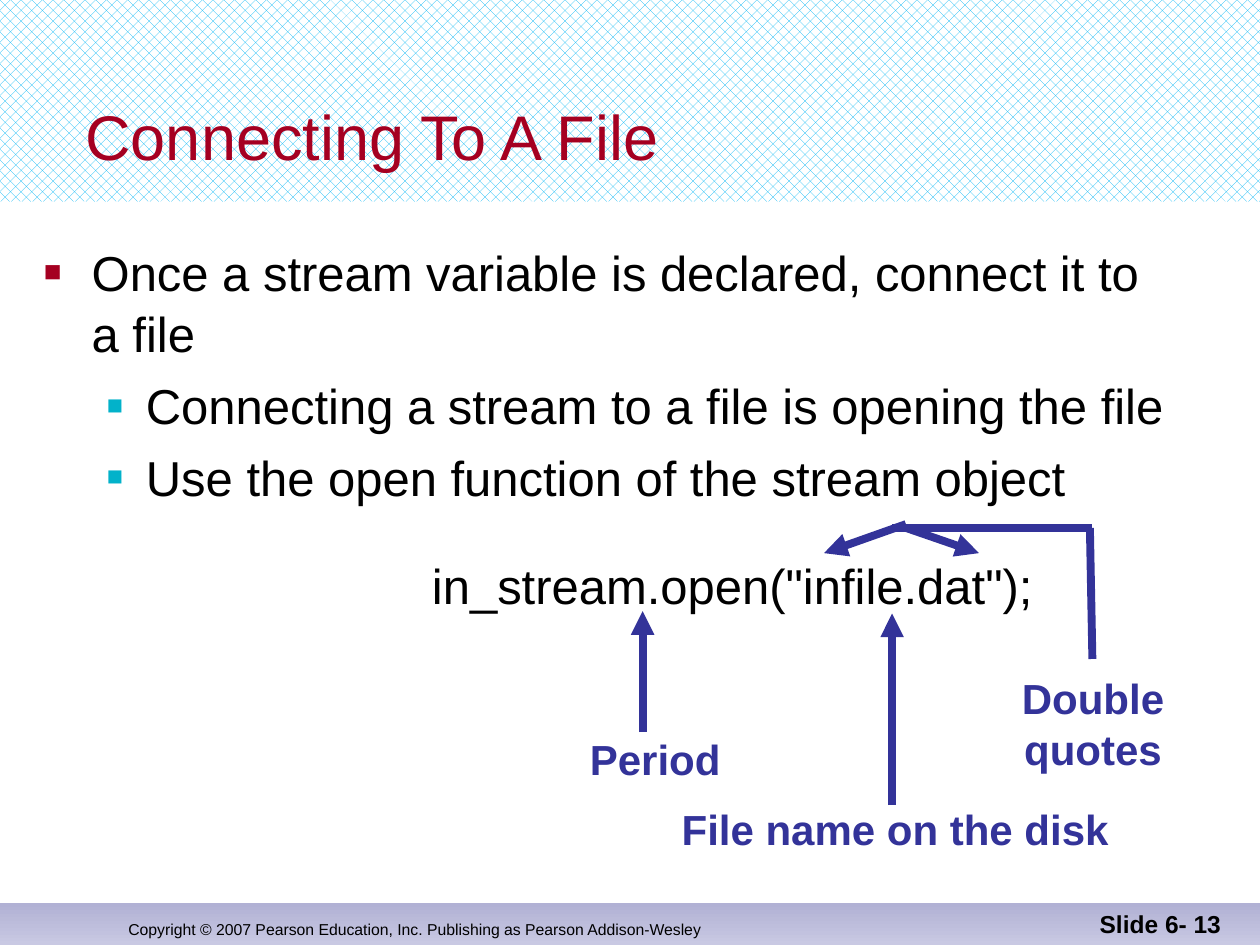
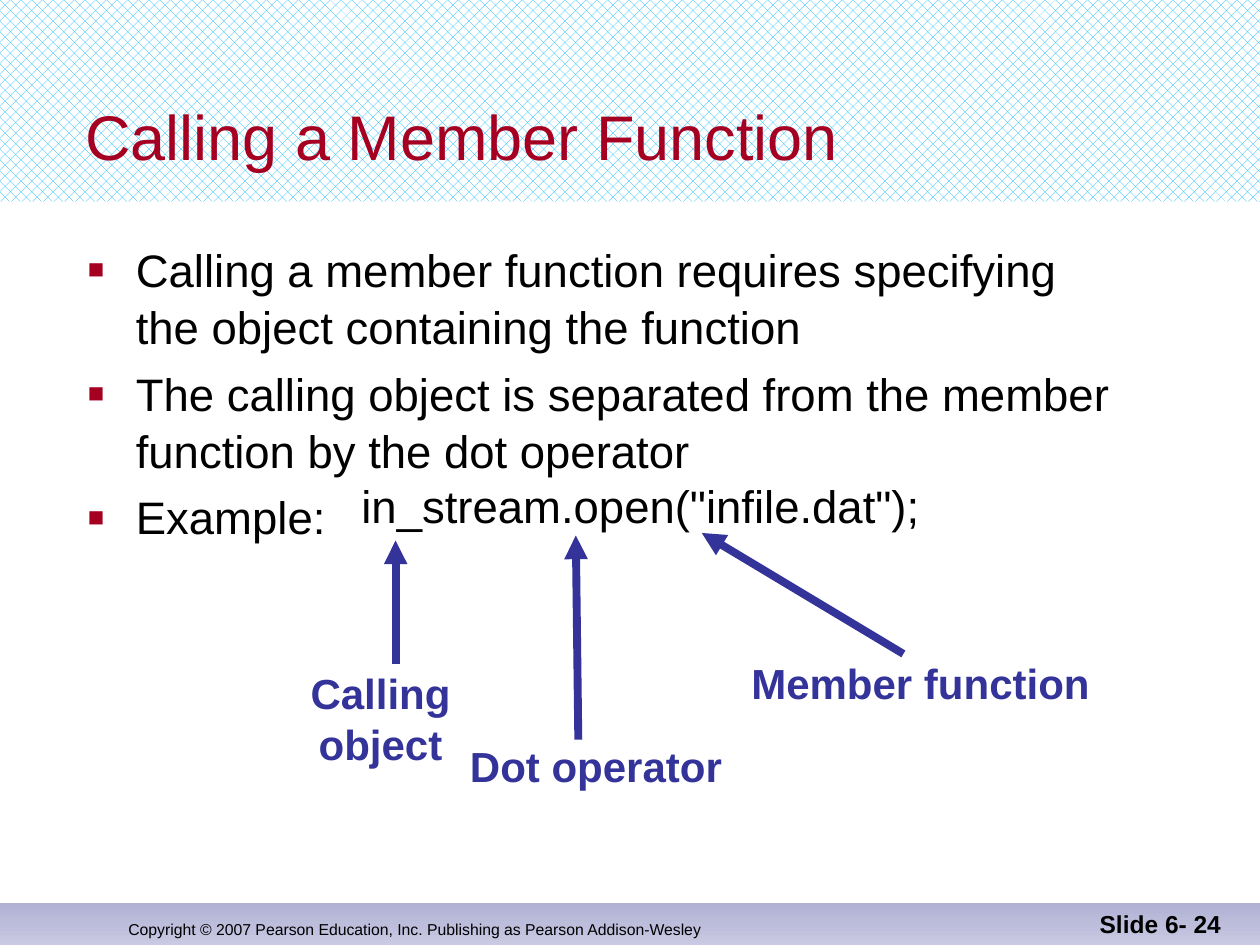
import lxml.etree
import pptx
import pptx.dml.color
import pptx.enum.dml
import pptx.enum.shapes
import pptx.enum.text
import pptx.oxml.ns
import pptx.util

Inches = pptx.util.Inches
Pt = pptx.util.Pt
qn = pptx.oxml.ns.qn
ALIGN = pptx.enum.text.PP_ALIGN
ANCHOR = pptx.enum.text.MSO_ANCHOR

COLORS = {
    "title": "A50021",
    "sub_bullet": "02B2CA",
    "text": "000000",
    "callout": "333399",
    "hatch": "00B6F6",
    "paper": "FFFFFF",
    "footer_top": "B1B1D4",
    "footer_bottom": "C9C9E3",
}
FONT = "Arial"
STYLES = {
    "title": {"size": Pt(36), "bold": False, "color": "title"},
    "copyright": {"size": Pt(9), "bold": False, "color": "text"},
    "number": {"size": Pt(14), "bold": True, "color": "text"},
    "callout": {"size": Pt(24), "bold": True, "color": "callout"},
    "body_28": {"size": Pt(28), "bold": False, "color": "text"},
    "body_26": {"size": Pt(26), "bold": False, "color": "text"},
}
LEVELS = [
    {"margin": 0.38, "hang": 0.38, "color": "title", "percent": 60},
    {"margin": 0.81, "hang": 0.31, "color": "sub_bullet", "percent": 55},
]
LINE_SPACING = 1.05
HEADER_BOX = (0, 0, 10, 1.6)
FOOTER_BOX = (0, 7.17, 10, 0.33)
TITLE_BOX = (0.58, 0.33, 9.08, 1.09)
COPYRIGHT = "Copyright © 2007 Pearson Education, Inc. Publishing as Pearson Addison-Wesley"
CODE = 'in_stream.open("infile.dat");'

SLIDES = [
    {
        "title": "Connecting To A File",
        "number": "Slide 6- 13",
        "style": "body_28",
        "body_box": (0.25, 1.85, 9.07, 2.4),
        "bullets": [
            (0, "Once a stream variable is declared, connect it to\va file"),
            (1, "Connecting a stream to a file is opening the file"),
            (1, "Use the open function of the stream object"),
        ],
        "code_offset": (3.08, 2.49),
        "callouts": [
            ("Period", (4.58, 5.77, 1.24, 0.5), [((5.1, 5.81), (5.1, 4.85), True)]),
            ("File name on the disk", (5.31, 6.33, 3.59, 0.5),
             [((7.08, 6.39), (7.08, 4.87), True)]),
            ("Double quotes", (7.42, 5.29, 2.51, 0.5), [
                ((8.67, 5.23), (8.65, 4.19), False),
                ((8.67, 4.19), (7.08, 4.19), False),
                ((7.19, 4.16), (6.54, 4.39), True),
                ((7.19, 4.19), (7.77, 4.39), True),
            ]),
        ],
    },
    {
        "title": "Calling a Member Function",
        "number": "Slide 6- 24",
        "style": "body_26",
        "body_box": (0.6, 1.85, 9.07, 2.4),
        "bullets": [
            (0, "Calling a member function requires specifying\vthe object containing the function"),
            (0, "The calling object is separated from the member\vfunction by the dot operator"),
            (0, "Example:"),
        ],
        "code_offset": (2.17, 1.87),
        "callouts": [
            ("Calling object", (1.83, 5.25, 2.38, 0.5), [((3.14, 5.27), (3.14, 4.29), True)]),
            ("Dot operator", (3.63, 5.83, 2.2, 0.5), [((4.59, 5.87), (4.57, 4.25), True)]),
            ("Member function", (5.86, 5.17, 2.89, 0.5), [((7.17, 5.19), (5.57, 4.23), True)]),
        ],
    },
]


def rgb(name):
    return pptx.dml.color.RGBColor.from_string(COLORS[name])


def lengths(values):
    return [Inches(value) for value in values]


def write(paragraph, text, style):
    paragraph.text = text
    for run in paragraph.runs:
        run.font.name = FONT
        for name, value in STYLES[style].items():
            if name == "color":
                run.font.color.rgb = rgb(value)
            else:
                setattr(run.font, name, value)


def add_text(slide, box, text, style, align=ALIGN.LEFT, anchor=ANCHOR.TOP, wrap=True):
    text_box = slide.shapes.add_textbox(*lengths(box))
    frame = text_box.text_frame
    frame.word_wrap = wrap
    frame.vertical_anchor = anchor
    paragraph = frame.paragraphs[0]
    paragraph.alignment = align
    write(paragraph, text, style)
    return text_box


def add_band(slide, box):
    band = slide.shapes.add_shape(pptx.enum.shapes.MSO_SHAPE.RECTANGLE, *lengths(box))
    band.shadow.inherit = False
    band.line.fill.background()
    return band


def add_header(slide, box, title):
    fill = add_band(slide, box).fill
    fill.patterned()
    fill.pattern = pptx.enum.dml.MSO_PATTERN.from_xml("pct40")
    fill.fore_color.rgb = rgb("hatch")
    fill.back_color.rgb = rgb("paper")
    add_text(slide, TITLE_BOX, title, "title", anchor=ANCHOR.BOTTOM)


def add_footer(slide, box, number):
    left, top, width, height = box
    fill = add_band(slide, box).fill
    fill.gradient()
    fill.gradient_angle = 270
    for stop, color in zip(fill.gradient_stops, ("footer_top", "footer_bottom")):
        stop.color.rgb = rgb(color)
    text_top = top + height - 0.5
    add_text(slide, (left + 0.92, text_top, 4.92, 0.5), COPYRIGHT, "copyright",
             anchor=ANCHOR.BOTTOM)
    add_text(slide, (left + width - 2.29, text_top, 2.08, 0.5), number, "number",
             ALIGN.RIGHT, ANCHOR.BOTTOM)


def add_bullet(paragraph, level):
    properties = paragraph._p.get_or_add_pPr()
    properties.set("marL", str(Inches(level["margin"])))
    properties.set("indent", str(-Inches(level["hang"])))
    color = lxml.etree.SubElement(properties, qn("a:buClr"))
    lxml.etree.SubElement(color, qn("a:srgbClr"), val=COLORS[level["color"]])
    lxml.etree.SubElement(properties, qn("a:buSzPct"), val=str(level["percent"] * 1000))
    lxml.etree.SubElement(properties, qn("a:buFont"), typeface=FONT)
    lxml.etree.SubElement(properties, qn("a:buChar"), char="■")


def add_body(slide, box, bullets, style, code_offset):
    left, top, width, height = box
    frame = slide.shapes.add_textbox(*lengths(box)).text_frame
    frame.word_wrap = True
    frame.margin_right = 0
    for index, (level, text) in enumerate(bullets):
        paragraph = frame.add_paragraph() if index else frame.paragraphs[0]
        paragraph.level = level
        paragraph.line_spacing = LINE_SPACING
        if index:
            paragraph.space_before = Pt(STYLES[style]["size"].pt * 0.2)
        add_bullet(paragraph, LEVELS[level])
        write(paragraph, text, style)
    across, down = code_offset
    code = add_text(slide, (left + across, top + down, 5.2, 0.55), CODE, style)
    code.text_frame.paragraphs[0].line_spacing = LINE_SPACING


def add_line(slide, start, end, arrow):
    line = slide.shapes.add_connector(
        pptx.enum.shapes.MSO_CONNECTOR.STRAIGHT, *lengths(start + end))
    line.line.width = Pt(4.5)
    line.line.color.rgb = rgb("callout")
    if arrow:
        lxml.etree.SubElement(line.line._get_or_add_ln(), qn("a:tailEnd"), type="triangle")
    lxml.etree.SubElement(line._element.spPr, qn("a:effectLst"))


def add_callout(slide, text, box, lines):
    add_text(slide, box, text, "callout", ALIGN.CENTER, wrap=False)
    for start, end, arrow in lines:
        add_line(slide, start, end, arrow)


def add_code_slide(presentation, content):
    slide = presentation.slides.add_slide(presentation.slide_layouts[6])
    add_footer(slide, FOOTER_BOX, content["number"])
    add_header(slide, HEADER_BOX, content["title"])
    add_body(slide, content["body_box"], content["bullets"], content["style"],
             content["code_offset"])
    for callout in content["callouts"]:
        add_callout(slide, *callout)


def main():
    presentation = pptx.Presentation()
    presentation.slide_width = Inches(10)
    presentation.slide_height = Inches(7.5)
    for content in SLIDES:
        add_code_slide(presentation, content)
    presentation.save("out.pptx")


if __name__ == "__main__":
    main()
